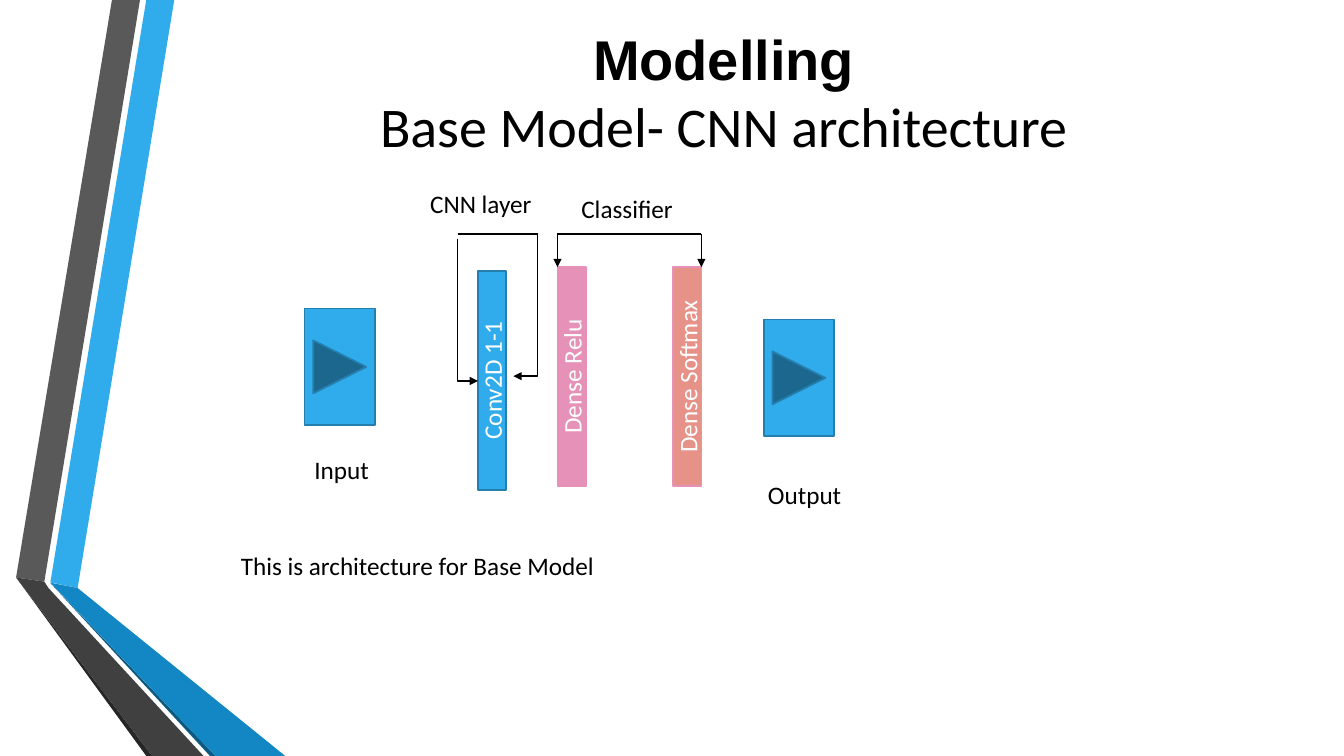
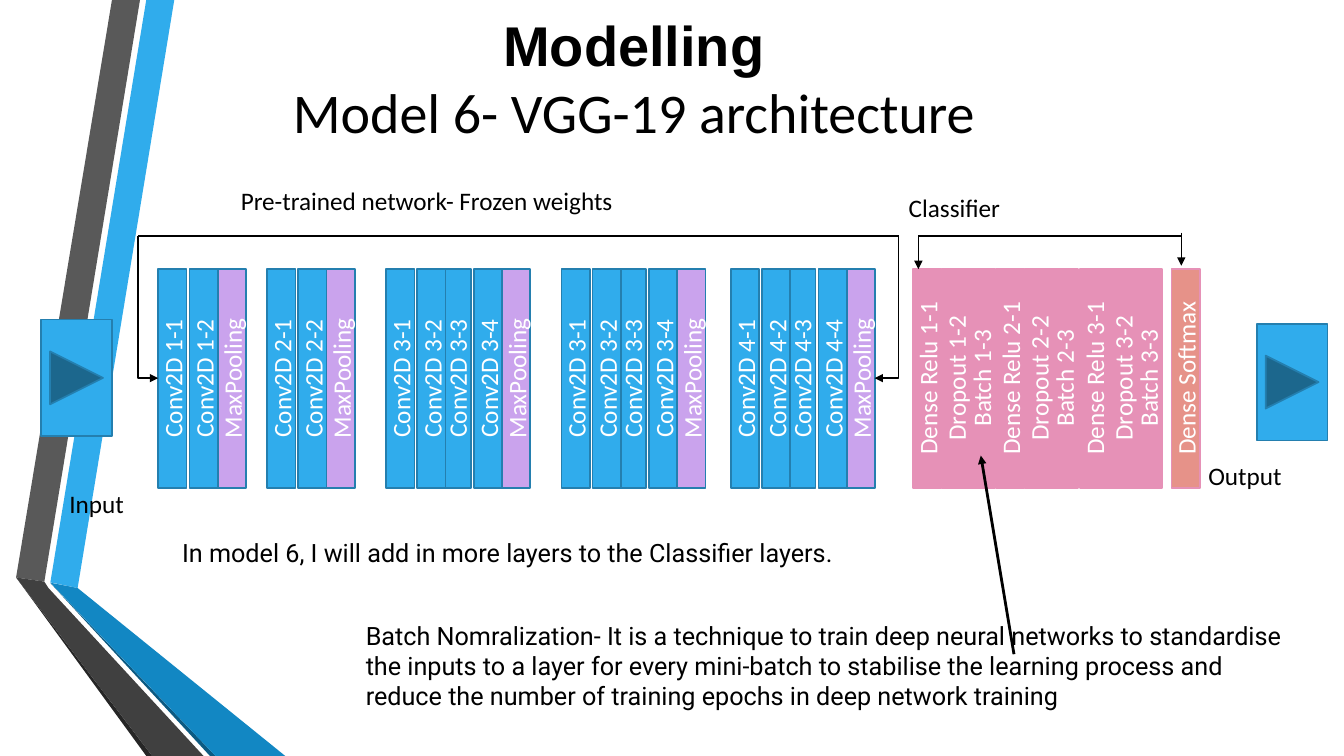
from lxml import etree
from pptx import Presentation
from pptx.dml.color import RGBColor
from pptx.enum.shapes import MSO_CONNECTOR, MSO_SHAPE
from pptx.enum.text import MSO_ANCHOR, MSO_AUTO_SIZE, PP_ALIGN
from pptx.oxml.ns import qn
from pptx.util import Pt

RECT = MSO_SHAPE.RECTANGLE
FORWARD_BUTTON = MSO_SHAPE.ACTION_BUTTON_FORWARD_OR_NEXT
STRAIGHT, ELBOW = MSO_CONNECTOR.STRAIGHT, MSO_CONNECTOR.ELBOW
CENTER = PP_ALIGN.CENTER
MIDDLE = MSO_ANCHOR.MIDDLE
FIT_TEXT = MSO_AUTO_SIZE.SHAPE_TO_FIT_TEXT

BLACK, WHITE = "000000", "FFFFFF"
BLUE, BLUE_EDGE = "30ACEC", "247FAF"
PINK, CORAL, LILAC = "E691B7", "E69289", "CAA3ED"
BODY_FONT, HEADING_FONT, NOTE_FONT = "Calibri", "Arial", "Roboto"

BAR_WIDTH, BAR_HEIGHT = 20.2, 156.2
BAR_OFFSETS = (0, 22.3, 42.5)
DEEP_TAIL = 40.3
BUTTON_WIDTH, BUTTON_HEIGHT = 50.4, 83.5
ELBOW_DROP = 101.5

RIBBONS = (
    (BLUE, ((36, 416), (55.5, 420), (124.5, 0), (104.5, 0))),
    ("595959", ((100, 0), (80, 0), (11.5, 412.5), (31.7, 415.5))),
    ("262626", ((11.5, 412.5), (104.5, 540), (108.7, 540))),
    ("0C5A82", ((36, 416.5), (150, 540), (154, 540))),
    ("1287C3", ((36, 416.2), (154, 540), (203.8, 540), (55.5, 420))),
    ("404040", ((145.4, 540), (34.6, 420), (31.7, 415.5), (11.5, 412.5),
                (108.7, 540))),
)


def rgb(hex_color):
    return RGBColor.from_string(hex_color)


def style_run(run, font=BODY_FONT, size=18, color=BLACK, bold=False):
    run.font.name = font
    run.font.size = Pt(size)
    run.font.bold = bold
    run.font.color.rgb = rgb(color)


def paint(shape, fill, edge=None):
    shape.shadow.inherit = False
    shape.fill.solid()
    shape.fill.fore_color.rgb = rgb(fill)
    if edge:
        shape.line.color.rgb = rgb(edge)
        shape.line.width = Pt(1.25)
    else:
        shape.line.fill.background()


def ribbon(slide):
    for color, points in RIBBONS:
        corners = [(Pt(x), Pt(y)) for x, y in points]
        builder = slide.shapes.build_freeform(*corners[0])
        builder.add_line_segments(corners[1:], close=True)
        paint(builder.convert_to_shape(), color)


def title(slide, left, top, subject):
    box = slide.shapes.add_textbox(Pt(left), Pt(top), Pt(789), Pt(138.2))
    frame = box.text_frame
    frame.word_wrap = True
    frame.vertical_anchor = MIDDLE
    paragraph = frame.paragraphs[0]
    paragraph.text = "Modelling\v" + subject
    paragraph.alignment = CENTER
    heading, subheading = paragraph.runs
    style_run(heading, HEADING_FONT, 40, bold=True)
    style_run(subheading, size=40)


def caption(slide, left, top, width, text, font=BODY_FONT, height=28.8):
    box = slide.shapes.add_textbox(Pt(left), Pt(top), Pt(width), Pt(height))
    frame = box.text_frame
    frame.word_wrap = True
    frame.auto_size = FIT_TEXT
    frame.text = text
    style_run(frame.paragraphs[0].runs[0], font)


def layer_bar(slide, left, top, label, fill=BLUE, edge=BLUE_EDGE):
    bar = slide.shapes.add_shape(RECT, Pt(left), Pt(top), Pt(BAR_WIDTH),
                                 Pt(BAR_HEIGHT))
    paint(bar, fill, edge)
    frame = bar.text_frame
    frame.vertical_anchor = MIDDLE
    frame.word_wrap = True
    frame._txBody.bodyPr.set("vert", "vert270")
    frame.text = label
    frame.paragraphs[0].alignment = CENTER
    style_run(frame.paragraphs[0].runs[0], color=WHITE)


def flow_button(slide, left, top):
    button = slide.shapes.add_shape(FORWARD_BUTTON, Pt(left), Pt(top),
                                    Pt(BUTTON_WIDTH), Pt(BUTTON_HEIGHT))
    paint(button, BLUE, BLUE_EDGE)


def connector(slide, start, end, arrow=False, kind=STRAIGHT, width=1):
    link = slide.shapes.add_connector(kind, Pt(start[0]), Pt(start[1]),
                                      Pt(end[0]), Pt(end[1]))
    link.line.color.rgb = rgb(BLACK)
    link.line.width = Pt(width)
    properties = link._element.spPr
    if arrow:
        stroke = properties.find(qn("a:ln"))
        etree.SubElement(stroke, qn("a:tailEnd")).set("type", "triangle")
    etree.SubElement(properties, qn("a:effectLst"))
    return link


def elbow_arrow(slide, start, end):
    across, down = abs(end[0] - start[0]), end[1] - start[1]
    center_x, center_y = (start[0] + end[0]) / 2, (start[1] + end[1]) / 2
    link = connector(slide, (center_x - down / 2, center_y - across / 2),
                     (center_x + down / 2, center_y + across / 2),
                     arrow=True, kind=ELBOW)
    properties = link._element.spPr
    properties.find(qn("a:prstGeom")).set("prst", "bentConnector2")
    placement = properties.find(qn("a:xfrm"))
    if end[0] > start[0]:
        placement.set("rot", "16200000")
        placement.set("flipH", "1")
    else:
        placement.set("rot", "5400000")


def network_bracket(slide, left, right, top, left_gap=0):
    connector(slide, (left, top), (right, top))
    left_top = top + left_gap
    elbow_arrow(slide, (left, left_top), (left + 14.4, left_top + ELBOW_DROP))
    elbow_arrow(slide, (right, top), (right - 17.3, top + ELBOW_DROP))


def classifier_bracket(slide, left, right, top, right_lift=0):
    connector(slide, (left, top), (right, top))
    for x, y in ((left, top), (right, top - right_lift)):
        connector(slide, (x, y), (x, y + 23.6), arrow=True)


def convolution_block(slide, left, top, stage, depth):
    labels = [f"Conv2D {stage}-{number}" for number in range(1, depth + 1)]
    tail = left + (DEEP_TAIL if depth > 2 else 0)
    pool = tail + BAR_OFFSETS[2]
    for offset, label in zip(BAR_OFFSETS, labels[-2:]):
        layer_bar(slide, tail + offset, top, label)
    layer_bar(slide, pool, top, "MaxPooling", LILAC)
    for offset, label in zip(BAR_OFFSETS, labels[:-2]):
        layer_bar(slide, left + offset, top, label)


def dense_block(slide, left, top, stage):
    for offset, layer, number in ((38.4, "Batch", 3), (0, "Dense Relu", 1),
                                  (20.3, "Dropout", 2)):
        layer_bar(slide, left + offset, top, f"{layer} {stage}-{number}",
                  PINK, PINK)


def base_model_slide(slide):
    ribbon(slide)
    title(slide, 122.4, -3.6, "Base Model- CNN architecture")
    layer_bar(slide, 341.2, 193.7, "Conv2D 1-1")
    layer_bar(slide, 480.8, 190.8, "Dense Softmax", CORAL, PINK)
    layer_bar(slide, 398.2, 190.8, "Dense Relu", PINK, PINK)
    network_bracket(slide, 327, 384, 167.2, left_gap=3.4)
    classifier_bracket(slide, 398.2, 501, 167.2)
    flow_button(slide, 217.5, 220.3)
    flow_button(slide, 545.5, 228.2)
    caption(slide, 300.2, 131, 96.5, "CNN layer")
    caption(slide, 408.2, 134.6, 96.5, "Classifier")
    caption(slide, 217.5, 321, 88.6, "Input")
    caption(slide, 541.5, 339, 88.6, "Output")
    caption(slide, 164.9, 389.5, 722, "This is architecture for Base Model")


def vgg_model_slide(slide):
    ribbon(slide)
    title(slide, 58.3, -13.7, "Model 6- VGG-19 architecture")
    bars_top = 192.2
    for left, stage, depth in ((113, 1, 2), (190.8, 2, 2), (275.8, 3, 4),
                               (401, 3, 4), (522, 4, 4)):
        convolution_block(slide, left, bars_top, stage, depth)
    for stage, left in enumerate((652.3, 711.4, 771.4), start=1):
        dense_block(slide, left, bars_top, stage)
    layer_bar(slide, 836.8, bars_top, "Dense Softmax", CORAL, PINK)
    network_bracket(slide, 98.6, 642, 168.6)
    classifier_bracket(slide, 656, 843.8, 168.6, right_lift=2.4)
    flow_button(slide, 29.5, 228.2)
    flow_button(slide, 897.8, 231.2)
    caption(slide, 164.9, 129, 329.8, "Pre-trained network- Frozen weights")
    caption(slide, 642, 134, 96.5, "Classifier")
    caption(slide, 42.5, 345.5, 88.6, "Input")
    caption(slide, 856, 325.5, 88.6, "Output")
    caption(slide, 123, 380.2, 679.7, "In model 6, I will add in more layers "
            "to the Classifier layers.", NOTE_FONT)
    caption(slide, 254.2, 439.2, 679.7, "Batch Nomralization- It is a "
            "technique to train deep neural networks to standardise the "
            "inputs to a layer for every mini-batch to stabilise the learning "
            "process and reduce the number of training epochs in deep network "
            "training", NOTE_FONT, 72)
    connector(slide, (724.3, 467.3), (700.6, 325.4), arrow=True, width=2)


def main():
    deck = Presentation()
    deck.slide_width, deck.slide_height = Pt(960), Pt(540)
    blank = deck.slide_layouts[6]
    for build in (base_model_slide, vgg_model_slide):
        build(deck.slides.add_slide(blank))
    deck.save("out.pptx")


if __name__ == "__main__":
    main()
